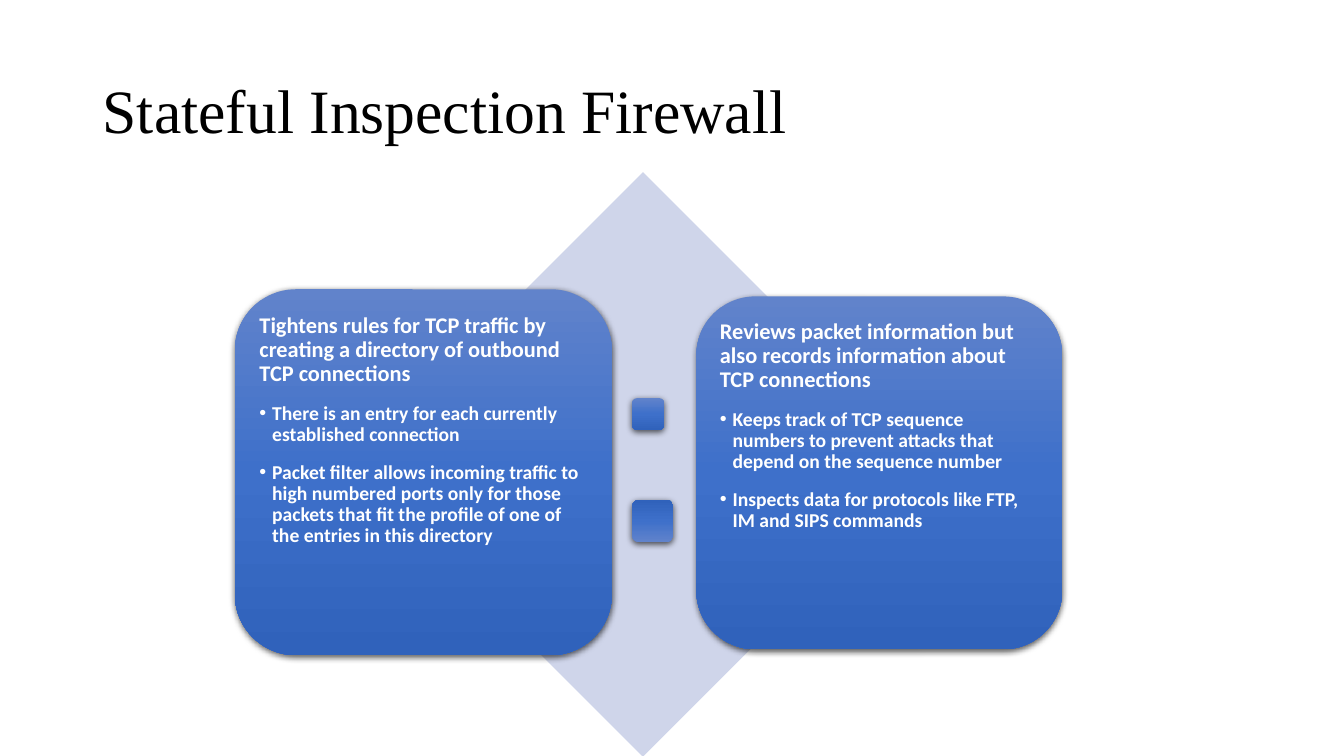
from copy import deepcopy

from lxml import etree
from pptx import Presentation
from pptx.dml.color import RGBColor
from pptx.enum.shapes import MSO_SHAPE
from pptx.enum.text import MSO_ANCHOR, PP_ALIGN
from pptx.oxml.ns import qn
from pptx.util import Cm, Pt

DIAMOND, ROUNDED = MSO_SHAPE.DIAMOND, MSO_SHAPE.ROUNDED_RECTANGLE
TOP, MIDDLE = MSO_ANCHOR.TOP, MSO_ANCHOR.MIDDLE
LEFT = PP_ALIGN.LEFT

COLORS = {
    "title": "000000",
    "backdrop": "CFD5EA",
    "text": "FFFFFF",
    "light": "6183CB",
    "mid": "3E70CA",
    "dark": "3062BB",
    "shadow": "000000",
}
OUTBOUND_RULES = (
    "Tightens rules for TCP traffic by creating a directory of outbound TCP connections",
    [
        "There is an entry for each currently established connection",
        "Packet filter allows incoming traffic to high numbered ports only for those "
        "packets that fit the profile of one of the entries in this directory",
    ],
)
PACKET_REVIEW = (
    "Reviews packet information but also records information about TCP connections",
    [
        "Keeps track of TCP sequence numbers to prevent attacks that depend on the "
        "sequence number",
        "Inspects data for protocols like FTP, IM and SIPS commands",
    ],
)


def rgb(name):
    return RGBColor.from_string(COLORS[name])


def add_plain_shape(slide, kind, left, top, width, height):
    shape = slide.shapes.add_shape(kind, Cm(left), Cm(top), Cm(width), Cm(height))
    shape.shadow.inherit = False
    shape.line.fill.background()
    return shape


def fill_with_gradient(shape):
    """Shade the shape from light at the top to dark at the bottom."""
    fill = shape.fill
    fill.gradient()
    fill.gradient_angle = 270
    first_stop = shape._element.spPr.find(".//" + qn("a:gs"))
    first_stop.addnext(deepcopy(first_stop))
    for stop, name, position in zip(
        fill.gradient_stops, ("light", "mid", "dark"), (0, 0.5, 1)
    ):
        stop.color.rgb = rgb(name)
        stop.position = position


def cast_shadow(shape):
    effects = shape._element.spPr.find(qn("a:effectLst"))
    shadow = etree.SubElement(
        effects, qn("a:outerShdw"), blurRad=str(Pt(4.5)), dist=str(Pt(1.5)),
        dir="5400000", algn="ctr", rotWithShape="0",
    )
    color = etree.SubElement(shadow, qn("a:srgbClr"), val=COLORS["shadow"])
    etree.SubElement(color, qn("a:alpha"), val="63000")


def add_raised_block(slide, left, top, width, height, flipped=False):
    block = add_plain_shape(slide, ROUNDED, left, top, width, height)
    fill_with_gradient(block)
    cast_shadow(block)
    if flipped:
        block._element.spPr.find(qn("a:xfrm")).set("flipV", "1")
    return block


def set_bullet(paragraph):
    paragraph.level = 1
    properties = paragraph._p.get_or_add_pPr()
    properties.set("marL", str(Cm(0.32)))
    properties.set("indent", str(-Cm(0.32)))
    etree.SubElement(properties, qn("a:buFont"), typeface="Arial")
    etree.SubElement(properties, qn("a:buChar"), char="•")


def style_paragraph(paragraph, font_name, size, color, bold=False):
    paragraph.alignment = LEFT
    paragraph.line_spacing = 0.9
    font = paragraph.font
    font.name, font.size, font.bold = font_name, Pt(size), bold
    font.color.rgb = rgb(color)


def add_title(slide, text):
    title = slide.shapes.add_textbox(Cm(2.34), Cm(1.02), Cm(29.21), Cm(3.68))
    frame = title.text_frame
    frame.word_wrap = True
    frame.vertical_anchor = MIDDLE
    frame.text = text
    style_paragraph(frame.paragraphs[0], "Times New Roman", 44, "title")


def add_card(slide, content, left, top, width, height, inset):
    heading, points = content
    frame = add_raised_block(slide, left, top, width, height).text_frame
    frame.word_wrap = True
    frame.vertical_anchor = TOP
    frame.margin_left = frame.margin_right = Cm(inset)
    frame.margin_top = frame.margin_bottom = Cm(inset)
    frame.text = "\n".join([heading, *points])
    for index, paragraph in enumerate(frame.paragraphs):
        if index:
            set_bullet(paragraph)
        paragraph.space_after = Pt(12)
        style_paragraph(paragraph, "Calibri", 14 if index else 16, "text", bold=True)


def main():
    deck = Presentation()
    deck.slide_width, deck.slide_height = Cm(33.87), Cm(19.05)
    slide = deck.slides.add_slide(deck.slide_layouts[6])

    add_title(slide, "Stateful Inspection Firewall")
    backdrop = add_plain_shape(slide, DIAMOND, 8.84, 4.34, 14.73, 14.73)
    backdrop.fill.solid()
    backdrop.fill.fore_color.rgb = rgb("backdrop")

    add_card(slide, OUTBOUND_RULES, 5.92, 7.29, 9.5, 9.22, inset=0.17)
    add_card(slide, PACKET_REVIEW, 17.55, 7.47, 9.22, 8.89, inset=0.16)
    add_raised_block(slide, 15.93, 10.03, 0.81, 0.81)
    add_raised_block(slide, 15.93, 12.6, 1.04, 1.07, flipped=True)

    deck.save("out.pptx")


if __name__ == "__main__":
    main()
